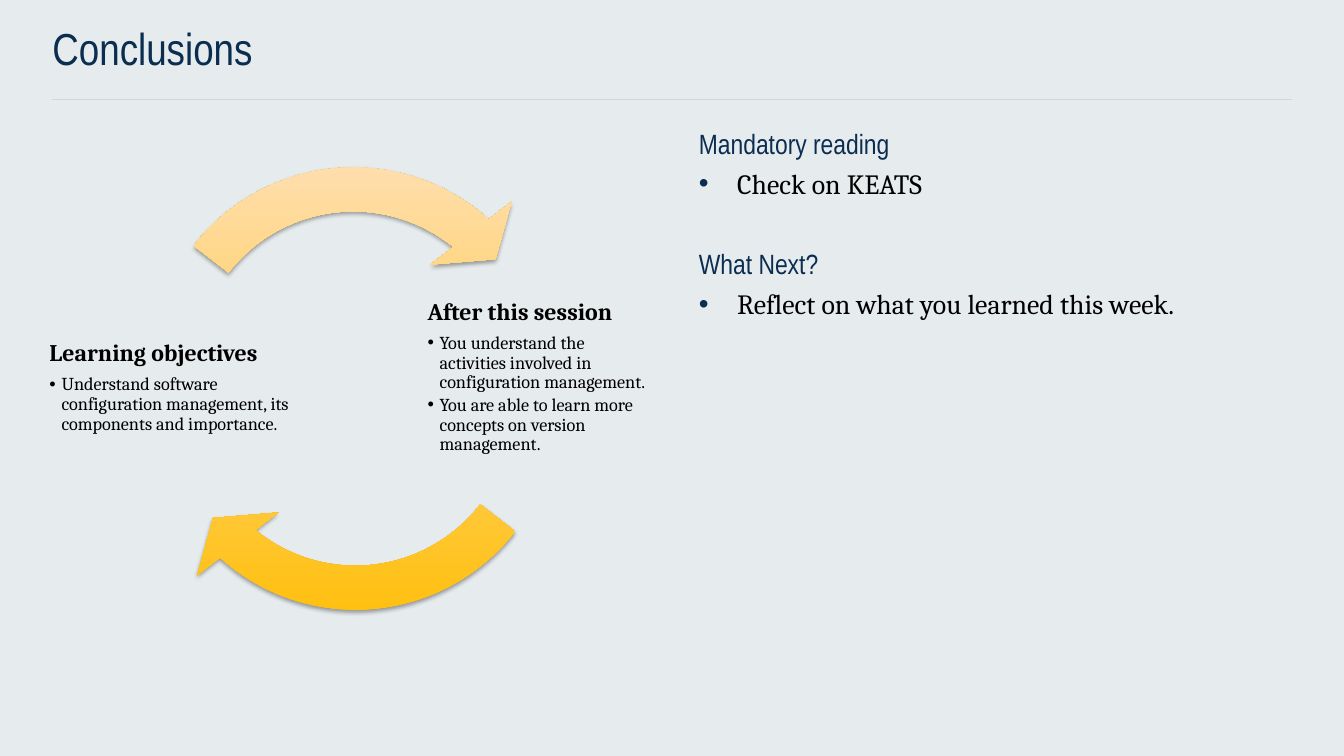
from dataclasses import dataclass

from lxml.etree import SubElement
from pptx import Presentation
from pptx.dml.color import RGBColor as Color
from pptx.enum.shapes import MSO_CONNECTOR as Connector, MSO_SHAPE as Preset
from pptx.enum.text import MSO_ANCHOR as Anchor, MSO_AUTO_SIZE as AutoSize, PP_ALIGN as Align
from pptx.oxml.ns import qn
from pptx.util import Inches, Pt


@dataclass(frozen=True)
class Theme:
    background: str = "E6EBED"
    rule: str = "CDD7DC"
    navy: str = "0A2D50"
    black: str = "000000"
    amber: str = "FFBE05"
    cream: str = "FFE0B8"
    heading_font: str = "Arial Narrow"
    text_font: str = "Cambria"
    title_size: float = 32
    body_size: float = 19.9
    label_size: float = 17
    detail_size: float = 13


theme = Theme()
presentation = Presentation()
presentation.slide_width, presentation.slide_height = Inches(13.33), Inches(7.5)


def place(left, top, width, height):
    """Turn percentages of the slide's size into a left, top, width, height box."""
    across, down = presentation.slide_width / 100, presentation.slide_height / 100
    return int(left * across), int(top * down), int(width * across), int(height * down)


def write_paragraph(frame, text, font, size, color, bold=False, spacing=1.0, after=0, indent=0):
    """Fill the first empty paragraph or add one; an indent in inches brings a bullet."""
    paragraph = frame.paragraphs[0]
    if paragraph.runs:
        paragraph = frame.add_paragraph()
    paragraph.alignment = Align.LEFT
    paragraph.line_spacing = spacing
    paragraph.space_before, paragraph.space_after = Pt(0), Pt(after)
    if indent:
        properties = paragraph._p.get_or_add_pPr()
        properties.set("marL", str(Inches(indent)))
        properties.set("indent", str(-Inches(indent)))
        bullet_color = SubElement(properties, qn("a:buClr"))
        SubElement(bullet_color, qn("a:srgbClr"), val=theme.navy if size == theme.body_size else color)
        SubElement(properties, qn("a:buFont"), typeface="Arial")
        SubElement(properties, qn("a:buChar"), char="•")
    run = paragraph.add_run()
    run.text = text
    run.font.name, run.font.size, run.font.bold = font, Pt(size), bold
    run.font.color.rgb = Color.from_string(color)
    return paragraph


slide = presentation.slides.add_slide(presentation.slide_layouts[5])
slide.background.fill.solid()
slide.background.fill.fore_color.rgb = Color.from_string(theme.background)

# Title and the rule below it
title = slide.shapes.title
title.left, title.top, title.width, title.height = place(3.9, 2.8, 92.1, 10.5)
title_frame = title.text_frame
title_frame.auto_size, title_frame.vertical_anchor = AutoSize.NONE, Anchor.TOP
write_paragraph(title_frame, "Conclusions", theme.heading_font, theme.title_size, theme.navy)

left, top, width, _ = place(3.9, 13.2, 92.2, 0)
rule = slide.shapes.add_connector(Connector.STRAIGHT, left, top, left + width, top)
rule.line.color.rgb = Color.from_string(theme.rule)
rule.line.width = Pt(1)
SubElement(rule._element.spPr, qn("a:effectLst"))

# Reading and next steps
body = slide.shapes.add_textbox(*place(52, 15.87, 44.1, 72.67))
body_frame = body.text_frame
body_frame.word_wrap = True
sections = [
    ("Mandatory reading", "Check on KEATS"),
    ("What Next?", "Reflect on what you learned this week."),
]
for number, (heading, item) in enumerate(sections):
    paragraph = write_paragraph(body_frame, heading, theme.heading_font, theme.body_size,
                                theme.navy, spacing=1.2)
    if number:
        paragraph.space_before = Pt(28.5)
    write_paragraph(body_frame, item, theme.text_font, theme.body_size, theme.black,
                    spacing=1.2, indent=0.38)

for frame in (title_frame, body_frame):
    frame.margin_left = frame.margin_top = frame.margin_right = frame.margin_bottom = 0

# The two ends of the cycle
cycle_texts = [
    ((31.66, 36.4, 16.73, 27), "After this session", [
        "You understand the activities involved in configuration management.",
        "You are able to learn more concepts on version management.",
    ]),
    ((3.53, 36.4, 18.3, 29.73), "Learning objectives", [
        "Understand software configuration management, its components and importance.",
    ]),
]
for box, label, details in cycle_texts:
    frame = slide.shapes.add_textbox(*place(*box)).text_frame
    frame.word_wrap, frame.vertical_anchor = True, Anchor.MIDDLE
    frame.margin_left = frame.margin_top = frame.margin_right = frame.margin_bottom = Inches(0.02)
    write_paragraph(frame, label, theme.text_font, theme.label_size, theme.black,
                    bold=True, spacing=0.9, after=6)
    for detail in details:
        write_paragraph(frame, detail, theme.text_font, theme.detail_size, theme.black,
                        spacing=0.9, after=2, indent=0.12)

# Arrows: the upper one is the lower one turned by half a circle
degree = 0.6
for arrow_left, arrow_top, turn in ((9.23, 23.33, 0), (9.08, 18.27, 180)):
    arrow = slide.shapes.add_shape(Preset.CIRCULAR_ARROW, *place(arrow_left, arrow_top, 34.43, 61.2))
    settings = (0.095, 11.43 * degree, (130.8 + turn) * degree, (37.78 + turn) * degree, 0.111)
    for index, setting in enumerate(settings):
        arrow.adjustments[index] = setting
    arrow.fill.gradient()
    arrow.fill.gradient_angle = 90
    for stop, color in zip(arrow.fill.gradient_stops, (theme.amber, theme.cream)):
        stop.color.rgb = Color.from_string(color)
    arrow.line.fill.background()
    arrow.shadow.inherit = False
    effects = arrow._element.spPr.find(qn("a:effectLst"))
    shadow = SubElement(effects, qn("a:outerShdw"), blurRad=str(Pt(3.1)), dist=str(Pt(1.8)),
                        dir="5400000", rotWithShape="0")
    shadow_color = SubElement(shadow, qn("a:srgbClr"), val=theme.black)
    SubElement(shadow_color, qn("a:alpha"), val="35000")

presentation.save("out.pptx")
